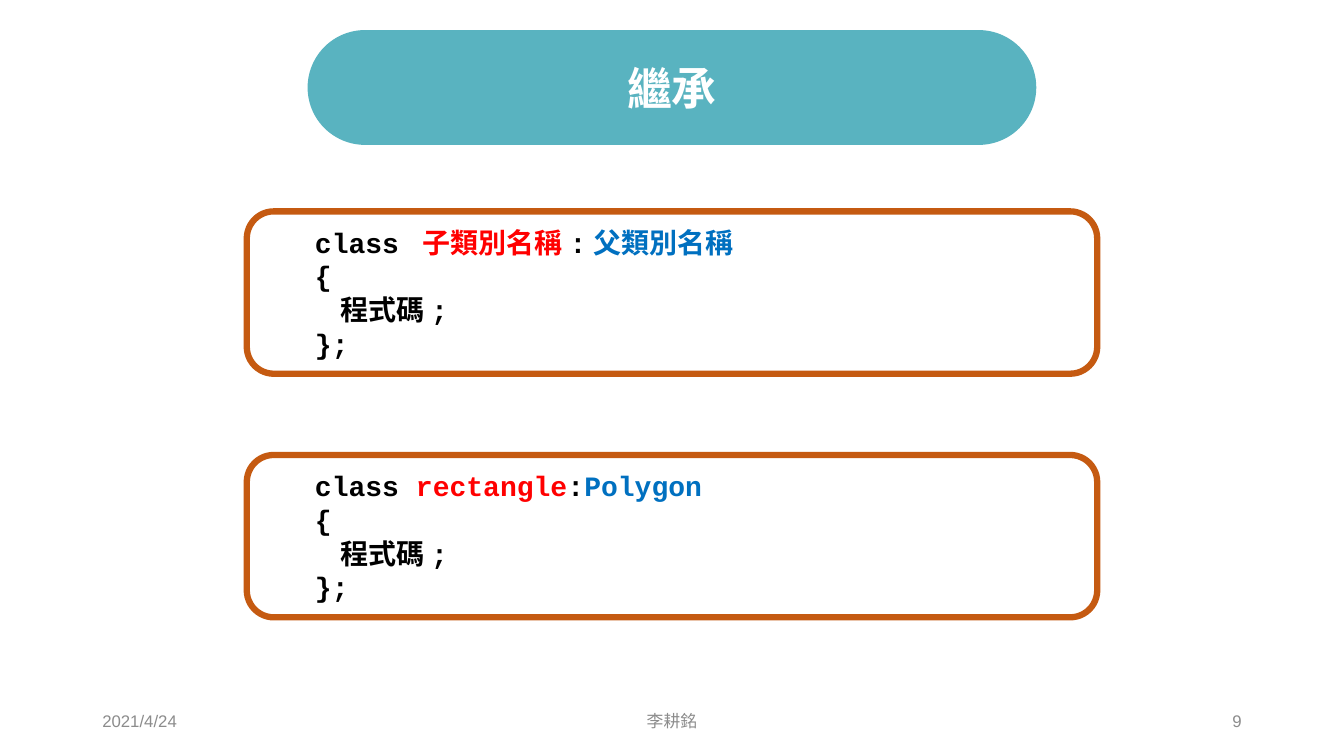
from dataclasses import dataclass

import pptx
import pptx.dml.color
import pptx.enum.shapes
import pptx.enum.text
import pptx.oxml
import pptx.oxml.ns
import pptx.util

Pt = pptx.util.Pt
Align = pptx.enum.text.PP_ALIGN
Shape = pptx.enum.shapes.MSO_SHAPE


@dataclass(frozen=True)
class Theme:
    teal: str = "59B3C0"
    orange: str = "C55A11"
    white: str = "FFFFFF"
    black: str = "000000"
    child: str = "FF0000"
    parent: str = "0070C0"
    grey: str = "8C8C8C"
    title_size: int = 32
    code_size: int = 20
    footer_size: int = 12
    code_font: str = "Courier New"
    footer_font: str = "Arial"
    cjk_font: str = "Noto Sans CJK SC"


THEME = Theme()


def rgb(value):
    return pptx.dml.color.RGBColor.from_string(value)


def add_text(para, text, *, size, color, font, bold=False):
    span = para.add_run()
    span.text = text
    span.font.size = Pt(size)
    span.font.bold = bold
    span.font.name = font
    span.font.color.rgb = rgb(color)
    east_asian = pptx.oxml.parse_xml(
        f'<a:ea {pptx.oxml.ns.nsdecls("a")} typeface="{THEME.cjk_font}"/>')
    span.font.fill  # the fill precedes the typefaces
    span.font._element.find(pptx.oxml.ns.qn("a:latin")).addnext(east_asian)


def add_panel(page, box, fill, line=None, line_width=0):
    """Add a rounded rectangle, outlined only when a line colour is given."""
    panel = page.shapes.add_shape(Shape.ROUNDED_RECTANGLE, *map(Pt, box))
    panel.shadow.inherit = False
    panel.fill.solid()
    panel.fill.fore_color.rgb = rgb(fill)
    if line:
        panel.line.color.rgb = rgb(line)
        panel.line.width = Pt(line_width)
    else:
        panel.line.fill.background()
    return panel


def add_title(page, text, box):
    """Place the title over a pill centred in its box."""
    left, top, width, height = box
    pill_width = 520.5
    pill = add_panel(page, (left + (width - pill_width) / 2, top, pill_width, height),
                     THEME.teal)
    pill.adjustments[0] = 0.5
    title = page.shapes.title
    title.left, title.top, title.width, title.height = map(Pt, box)
    title.element.addprevious(pill.element)
    frame = title.text_frame
    frame.vertical_anchor = pptx.enum.text.MSO_ANCHOR.MIDDLE
    para = frame.paragraphs[0]
    para.alignment = Align.CENTER
    add_text(para, text, size=THEME.title_size, color=THEME.white,
             font=THEME.cjk_font, bold=True)


def add_code(page, child, parent, box):
    """Show a class declaration that derives child from parent."""
    panel = add_panel(page, box, THEME.white, THEME.orange, 4.5)
    frame = panel.text_frame
    frame.word_wrap = True
    frame.vertical_anchor = pptx.enum.text.MSO_ANCHOR.MIDDLE
    declaration = [("class ", THEME.black), (child, THEME.child),
                   (":", THEME.black), (parent, THEME.parent)]
    lines = [
        (36, declaration),
        (36, [("{", THEME.black)]),
        (54, [("程式碼;", THEME.black)]),
        (36, [("};", THEME.black)]),
    ]
    for number, (indent, spans) in enumerate(lines):
        para = frame.add_paragraph() if number else frame.paragraphs[0]
        para.alignment = Align.LEFT
        properties = para._p.get_or_add_pPr()
        properties.set("marL", str(Pt(indent)))
        properties.set("indent", "0")
        for text, color in spans:
            add_text(para, text, size=THEME.code_size, color=color,
                     font=THEME.code_font, bold=True)


def add_footer(page, date, author, number, box):
    left, top, width, height = box
    side, middle = 216, 324
    parts = [
        (date, left, side, Align.LEFT),
        (author, left + (width - middle) / 2, middle, Align.CENTER),
        (number, left + width - side, side, Align.RIGHT),
    ]
    for text, part_left, part_width, alignment in parts:
        frame = page.shapes.add_textbox(
            *map(Pt, (part_left, top, part_width, height))).text_frame
        frame.word_wrap = True
        frame.vertical_anchor = pptx.enum.text.MSO_ANCHOR.MIDDLE
        para = frame.paragraphs[0]
        para.alignment = alignment
        add_text(para, text, size=THEME.footer_size, color=THEME.grey,
                 font=THEME.footer_font)


def main():
    deck = pptx.Presentation()
    deck.slide_width, deck.slide_height = Pt(960), Pt(540)
    page = deck.slides.add_slide(deck.slide_layouts[5])
    add_title(page, "繼承", (66, 21.5, 828, 82))
    add_footer(page, "2021/4/24", "李耕銘", "9", (66, 500.5, 828, 28.75))
    classes = [("子類別名稱", "父類別名稱"), ("rectangle", "Polygon")]
    for row, (child, parent) in enumerate(classes):
        add_code(page, child, parent, (176.25, 151 + row * 174, 607.5, 116))
    deck.save("out.pptx")


if __name__ == "__main__":
    main()
